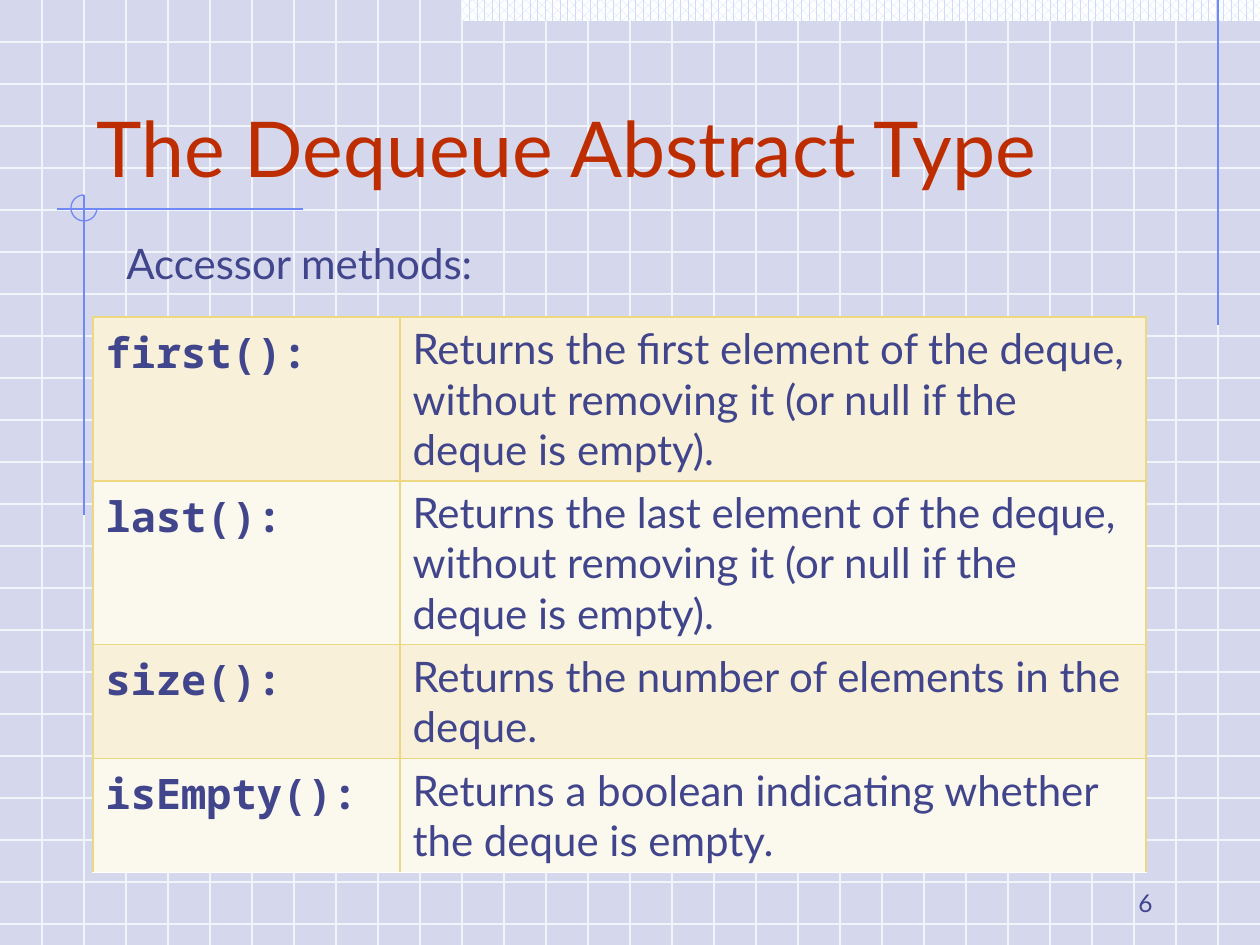
import pptx
import pptx.util
import pptx.dml.color
import pptx.enum.dml
import pptx.enum.shapes
import pptx.enum.text
import pptx.oxml
import pptx.oxml.ns

W, H = 1260, 945
GRID = 42
COLORS = {
    "background": "D5D7EC", "grid": "F2F4FC", "pattern": "CFDBFD",
    "white": "FFFFFF", "accent": "6F89F7", "title": "BE2D00",
    "text": "40458C", "border": "ECD882", "odd": "F8F0D8", "even": "FBF8ED",
}
SANS, MONO = "Lato", "Noto Sans Mono"
METHODS = [
    ("first():", "Returns the first element of the deque, without removing it (or null if the deque is empty).", 163),
    ("last():", "Returns the last element of the deque, without removing it (or null if the deque is empty).", 163),
    ("size():", "Returns the number of elements in the deque.", 114),
    ("isEmpty():", "Returns a boolean indicating whether the deque is empty.", 114),
]


def px(n):
    return pptx.util.Emu(round(n * 914400 / 126))


def rgb(name):
    return pptx.dml.color.RGBColor.from_string(COLORS[name])


def add_line(s, x1, y1, x2, y2, color):
    c = s.shapes.add_connector(
        pptx.enum.shapes.MSO_CONNECTOR.STRAIGHT, px(x1), px(y1), px(x2), px(y2))
    c.line.color.rgb = rgb(color)
    c.line.width = pptx.util.Pt(0.75)
    pptx.oxml.ns.qn("a:effectLst")
    c._element.spPr.append(pptx.oxml.parse_xml(
        f"<a:effectLst {pptx.oxml.ns.nsdecls('a')}/>"))


def add_run(p, text, size, color, font=SANS, bold=False):
    r = p.add_run()
    r.text = text
    r.font.size = pptx.util.Pt(size)
    r.font.name = font
    r.font.bold = bold
    r.font.color.rgb = rgb(color)


def add_text(s, x, y, w, h, text, size, color, anchor="TOP", align="LEFT"):
    tf = s.shapes.add_textbox(px(x), px(y), px(w), px(h)).text_frame
    tf.word_wrap = True
    tf.vertical_anchor = getattr(pptx.enum.text.MSO_ANCHOR, anchor)
    p = tf.paragraphs[0]
    p.alignment = getattr(pptx.enum.text.PP_ALIGN, align)
    add_run(p, text, size, color)


def add_grid(s, x, y, w, h):
    for dy in range(GRID, h, GRID):
        add_line(s, x, y + dy, x + w, y + dy, "grid")
    for dx in range(GRID, w, GRID):
        add_line(s, x + dx, y, x + dx, y + h, "grid")


def add_top_bar(s, x, y, w, h):
    sp = s.shapes.add_shape(
        pptx.enum.shapes.MSO_SHAPE.RECTANGLE, px(x), px(y), px(w), px(h))
    sp.shadow.inherit = False
    sp.fill.patterned()
    sp.fill.pattern = pptx.enum.dml.MSO_PATTERN.PERCENT_60
    sp.fill.fore_color.rgb = rgb("pattern")
    sp.fill.back_color.rgb = rgb("white")
    sp.line.fill.background()
    add_line(s, x + w - GRID, y, x + w - GRID, y + 325, "accent")


def add_crosshair(s, x, y, w, h):
    add_line(s, x, y + 14, x + w, y + 14, "accent")
    add_line(s, x + 27, y, x + 27, y + h, "accent")
    sp = s.shapes.add_shape(
        pptx.enum.shapes.MSO_SHAPE.ARC, px(x + 14), px(y), px(26), px(26))
    sp.shadow.inherit = False
    sp.adjustments[0] = 0
    sp.adjustments[1] = 162
    sp.fill.background()
    sp.line.color.rgb = rgb("accent")
    sp.line.width = pptx.util.Pt(0.75)


def set_borders(cell, sides):
    tcPr = cell._tc.get_or_add_tcPr()
    for i, side in enumerate(sides):
        tcPr.insert(i, pptx.oxml.parse_xml(
            f'<a:ln{side} {pptx.oxml.ns.nsdecls("a")} w="12700"><a:solidFill>'
            f'<a:srgbClr val="{COLORS["border"]}"/></a:solidFill></a:ln{side}>'))


def add_methods(s, x, y, w, name_w):
    heights = [row[2] for row in METHODS]
    table = s.shapes.add_table(
        len(METHODS), 2, px(x), px(y), px(w), px(sum(heights))).table
    table.first_row = table.horz_banding = False
    table.columns[0].width = px(name_w)
    table.columns[1].width = px(w - name_w)
    for i, (name, description, height) in enumerate(METHODS):
        table.rows[i].height = px(height)
        sides = "LRT" if i == len(METHODS) - 1 else "LRTB"
        for j, (text, font) in enumerate([(name, MONO), (description, SANS)]):
            cell = table.cell(i, j)
            cell.fill.solid()
            cell.fill.fore_color.rgb = rgb("even" if i % 2 else "odd")
            add_run(cell.text_frame.paragraphs[0], text, 24, "text", font, font == MONO)
            set_borders(cell, sides)


def main():
    prs = pptx.Presentation()
    prs.slide_width, prs.slide_height = px(W), px(H)
    s = prs.slides.add_slide(prs.slide_layouts[6])
    s.background.fill.solid()
    s.background.fill.fore_color.rgb = rgb("background")
    add_grid(s, 0, 0, W, H)
    add_top_bar(s, 462, 0, 798, 21)
    add_crosshair(s, 57, 195, 246, 320)
    add_text(s, 84, 42, 1071, 157, "The Dequeue Abstract Type", 44, "title", "BOTTOM")
    add_methods(s, 93, 317, 1053, 307)
    add_text(s, 903, 861, 262, 63, "6", 14, "text", "BOTTOM", "RIGHT")
    add_text(s, 114, 231, 431, 63, "Accessor methods:", 24, "text")
    prs.save("out.pptx")


if __name__ == "__main__":
    main()
